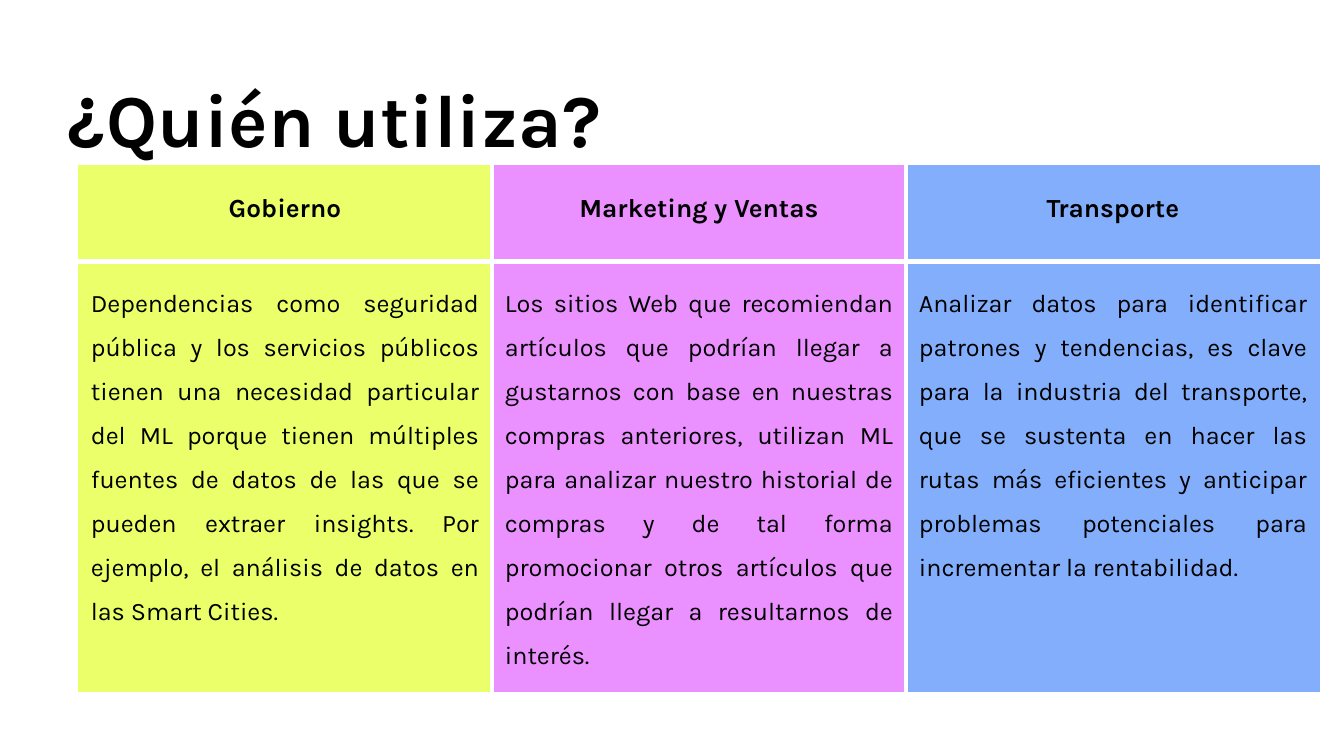
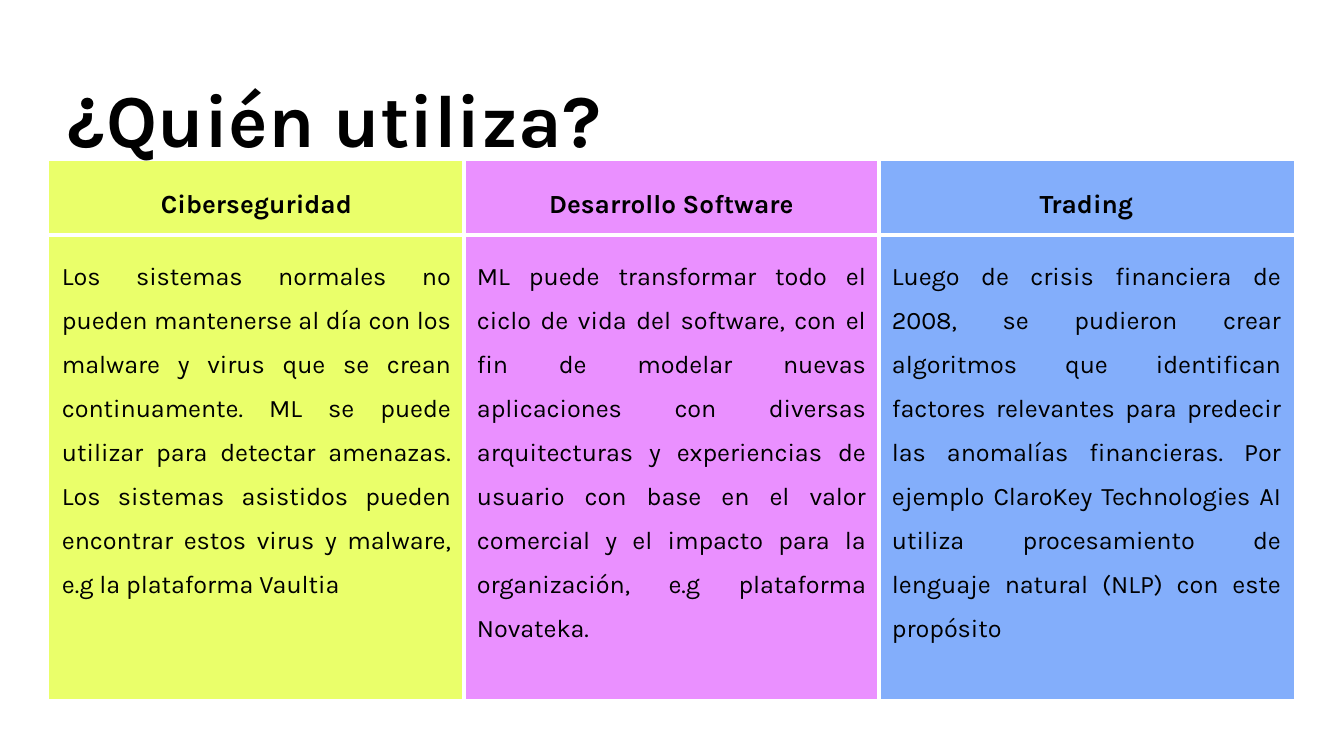
from dataclasses import dataclass

from lxml.etree import SubElement
from pptx import Presentation
from pptx.dml.color import RGBColor
from pptx.enum.text import MSO_ANCHOR, MSO_AUTO_SIZE, PP_ALIGN
from pptx.oxml.ns import qn
from pptx.util import Emu, Pt


@dataclass(frozen=True)
class Theme:
    """Colours, font and type sizes shared by the slides."""
    font: str = "Karla"
    ink: str = "000000"
    rule: str = "FFFFFF"
    columns: tuple = ("EAFF6A", "EA90FF", "83AEFB")
    title_size: float = 40
    heading_size: float = 14
    body_size: float = 13.5
    rule_width: float = 3


THEME = Theme()
EMU_PER_PX = 914400 / 134.4
SLIDE_SIZE = (1344, 756)
TITLE = "¿Quién utiliza?"
TITLE_BOX = (55, 70, 914, 190)
INSET = 13

SECTORS = [
    {
        "box": (78, 165, 1242, 527),
        "heading_height": 97,
        "uses": [
            ("Gobierno",
             "Dependencias como seguridad pública y los servicios públicos tienen una "
             "necesidad particular del ML porque tienen múltiples fuentes de datos de "
             "las que se pueden extraer insights. Por ejemplo, el análisis de datos en "
             "las Smart Cities."),
            ("Marketing y Ventas",
             "Los sitios Web que recomiendan artículos que podrían llegar a gustarnos "
             "con base en nuestras compras anteriores, utilizan ML para analizar "
             "nuestro historial de compras y de tal forma promocionar otros artículos "
             "que podrían llegar a resultarnos de interés."),
            ("Transporte",
             "Analizar datos para identificar patrones y tendencias, es clave para la "
             "industria del transporte, que se sustenta en hacer las rutas más "
             "eficientes y anticipar problemas potenciales para incrementar la "
             "rentabilidad."),
        ],
    },
    {
        "box": (49, 161, 1245, 538),
        "heading_height": 74,
        "uses": [
            ("Ciberseguridad",
             "Los sistemas normales no pueden mantenerse al día con los malware y virus "
             "que se crean continuamente. ML se puede utilizar para detectar amenazas. "
             "Los sistemas asistidos pueden encontrar estos virus y malware, e.g la "
             "plataforma Vaultia"),
            ("Desarrollo Software",
             "ML puede transformar todo el ciclo de vida del software, con el fin de "
             "modelar nuevas aplicaciones con diversas arquitecturas y experiencias de "
             "usuario con base en el valor comercial y el impacto para la organización, "
             "e.g plataforma Novateka."),
            ("Trading",
             "Luego de crisis financiera de 2008, se pudieron crear algoritmos que "
             "identifican factores relevantes para predecir las anomalías financieras. "
             "Por ejemplo ClaroKey Technologies AI utiliza procesamiento de lenguaje "
             "natural (NLP) con este propósito"),
        ],
    },
]


def px(length):
    """Turn a length in px into EMU."""
    return Emu(round(length * EMU_PER_PX))


def write(frame, text, *, size, bold=False, align=PP_ALIGN.LEFT, spacing=1.5):
    """Fill a text frame with one formatted paragraph."""
    frame.word_wrap = True
    paragraph = frame.paragraphs[0]
    paragraph.alignment = align
    paragraph.line_spacing = spacing
    run = paragraph.add_run()
    run.text = text
    run.font.name = THEME.font
    run.font.size = Pt(size)
    run.font.bold = bold
    run.font.color.rgb = RGBColor.from_string(THEME.ink)


def set_insets(holder):
    """Give a cell or text frame the shared inner margins."""
    for side in ("left", "right", "top", "bottom"):
        setattr(holder, f"margin_{side}", px(INSET))


def rule_cell(cell, inner_sides):
    """Draw rules on the inner sides of a cell and none on the others."""
    properties = cell._tc.get_or_add_tcPr()
    for side in "LRTB":
        line = SubElement(properties, qn(f"a:ln{side}"))
        if side in inner_sides:
            line.set("w", str(Pt(THEME.rule_width)))
            fill = SubElement(line, qn("a:solidFill"))
            SubElement(fill, qn("a:srgbClr")).set("val", THEME.rule)
        else:
            SubElement(line, qn("a:noFill"))


def add_title(slide, box):
    """Place the slide title in front of the table."""
    title = slide.shapes.title
    title.left, title.top, title.width, title.height = map(px, box)
    frame = title.text_frame
    set_insets(frame)
    frame.vertical_anchor = MSO_ANCHOR.TOP
    frame.auto_size = MSO_AUTO_SIZE.NONE
    write(frame, TITLE, size=THEME.title_size, bold=True, spacing=0.9)
    title.element.getparent().append(title.element)


def add_uses_table(slide, box, heading_height, uses):
    """Place one coloured column for each use, a heading above its text."""
    left, top, width, height = box
    table = slide.shapes.add_table(2, len(uses), *map(px, box)).table
    table.rows[0].height = px(heading_height)
    table.rows[1].height = px(height - heading_height)
    formats = (
        {"size": THEME.heading_size, "bold": True, "align": PP_ALIGN.CENTER},
        {"size": THEME.body_size, "align": PP_ALIGN.JUSTIFY},
    )
    last = len(uses) - 1
    for column, (use, colour) in enumerate(zip(uses, THEME.columns)):
        table.columns[column].width = px(width / len(uses))
        sides = ("L" if column else "") + ("R" if column < last else "")
        for row, (text, style) in enumerate(zip(use, formats)):
            cell = table.cell(row, column)
            set_insets(cell)
            rule_cell(cell, sides + "BT"[row])
            cell.fill.solid()
            cell.fill.fore_color.rgb = RGBColor.from_string(colour)
            write(cell.text_frame, text, **style)


def add_sector_slide(deck, sector):
    """Add a slide with the title and the table of one group of sectors."""
    slide = deck.slides.add_slide(deck.slide_layouts[5])
    add_uses_table(slide, **sector)
    add_title(slide, TITLE_BOX)


def main():
    """Build the deck and save it."""
    deck = Presentation()
    deck.slide_width, deck.slide_height = map(px, SLIDE_SIZE)
    for sector in SECTORS:
        add_sector_slide(deck, sector)
    deck.save("out.pptx")


if __name__ == "__main__":
    main()
